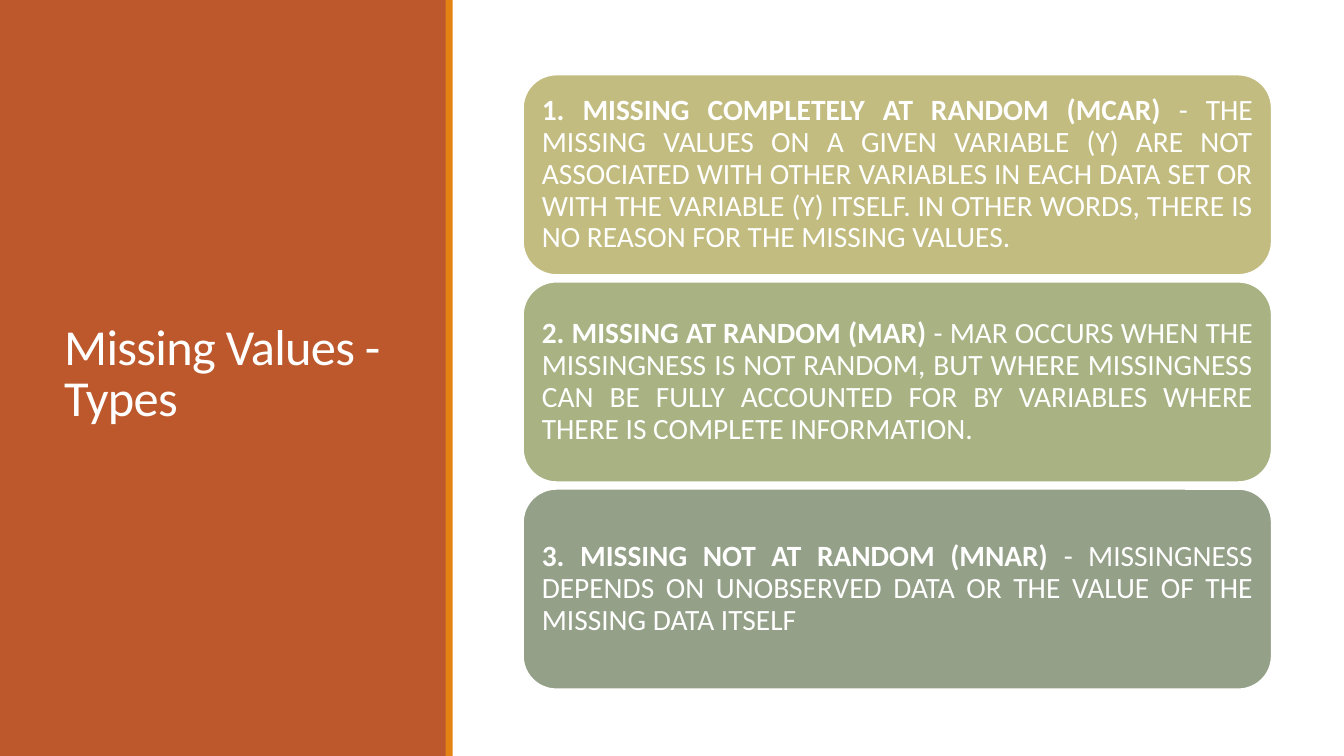
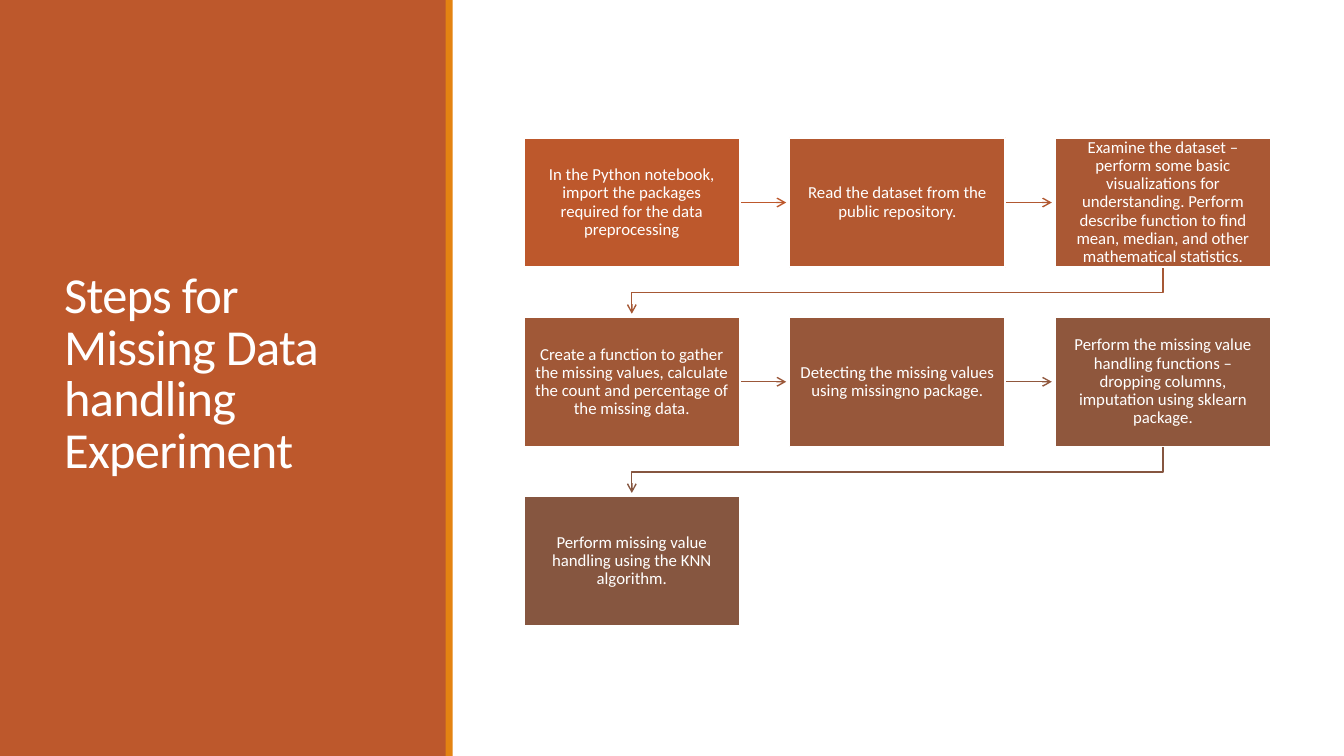
from lxml import etree
from pptx import Presentation
from pptx import util as u
from pptx.dml.color import RGBColor
from pptx.enum import shapes, text
from pptx.oxml.ns import qn

WHITE = RGBColor(0xFF, 0xFF, 0xFF)
RUST = RGBColor(0xBD, 0x58, 0x2C)
ORANGE = RGBColor(0xE4, 0x83, 0x12)
TYPE_COLOURS = [
    RGBColor(0xC2, 0xBC, 0x80),
    RGBColor(0xA8, 0xB2, 0x83),
    RGBColor(0x94, 0xA0, 0x88),
]
STEP_COLOURS = [RGBColor.from_string(c) for c in (
    "BD582C", "B35830", "AA5834", "A05837", "97573A", "8F573D", "865640")]
ARROW_COLOURS = [RGBColor.from_string(c) for c in (
    "BD582C", "B15831", "A65835", "9B5739", "90573D", "865640")]
FONT = "Calibri"
SLIDE_WIDTH, SLIDE_HEIGHT = u.Cm(33.87), u.Cm(19.05)

MISSING_TYPES = [
    ("1. MISSING COMPLETELY AT RANDOM (MCAR)",
     " - THE MISSING VALUES ON A GIVEN VARIABLE (Y) ARE NOT ASSOCIATED WITH "
     "OTHER VARIABLES IN EACH DATA SET OR WITH THE VARIABLE (Y) ITSELF. IN "
     "OTHER WORDS, THERE IS NO REASON FOR THE MISSING VALUES."),
    ("2. MISSING AT RANDOM (MAR) ",
     "- MAR OCCURS WHEN THE MISSINGNESS IS NOT RANDOM, BUT WHERE MISSINGNESS "
     "CAN BE FULLY ACCOUNTED FOR BY VARIABLES WHERE THERE IS COMPLETE "
     "INFORMATION."),
    ("3. MISSING NOT AT RANDOM (MNAR)",
     " - MISSINGNESS DEPENDS ON UNOBSERVED DATA OR THE VALUE OF THE MISSING "
     "DATA ITSELF"),
]
STEPS = [
    "In the Python notebook, import the packages required for the data "
    "preprocessing",
    "Read the dataset from the public repository.",
    "Examine the dataset – perform some basic visualizations for "
    "understanding. Perform describe function to find mean, median, and other "
    "mathematical statistics.",
    "Create a function to gather the missing values, calculate the count and "
    "percentage of the missing data.",
    "Detecting the missing values using missingno package.",
    "Perform the missing value handling functions – dropping columns, "
    "imputation using sklearn package.",
    "Perform missing value handling using the KNN algorithm.",
]


def add_block(slide, preset, box, fill, border=None):
    block = slide.shapes.add_shape(preset, *box)
    block.shadow.inherit = False
    block.fill.solid()
    block.fill.fore_color.rgb = fill
    if border is None:
        block.line.fill.background()
    else:
        block.line.color.rgb = border
        block.line.width = u.Pt(1.25)
    return block


def write(shape, parts, size, align, spacing, inset):
    frame = shape.text_frame
    frame.word_wrap = True
    frame.vertical_anchor = text.MSO_ANCHOR.MIDDLE
    frame.margin_left = frame.margin_right = inset
    frame.margin_top = frame.margin_bottom = inset
    paragraph = frame.paragraphs[0]
    paragraph.alignment = align
    paragraph.line_spacing = spacing
    for words, bold in parts:
        run = paragraph.add_run()
        run.text = words
        run.font.name = FONT
        run.font.size = u.Pt(size)
        run.font.bold = bold
        run.font.color.rgb = WHITE
    return paragraph


def add_title_panel(slide, title):
    rectangle = shapes.MSO_SHAPE.RECTANGLE
    add_block(slide, rectangle, (0, 0, u.Cm(11.25), SLIDE_HEIGHT), RUST)
    add_block(slide, rectangle,
              (u.Cm(11.23), 0, u.Cm(0.18), SLIDE_HEIGHT), ORANGE)
    heading = slide.shapes.add_textbox(
        u.Cm(1.37), u.Cm(1.45), u.Cm(8.56), u.Cm(16.03))
    paragraph = write(heading, [(title, False)], 36,
                      text.PP_ALIGN.LEFT, 0.85, u.Cm(0.25))
    for run in paragraph.runs:
        run.font._element.set("spc", "-50")


def add_type_cards(slide, left, top, width, height):
    gap = u.Cm(0.17)
    card_height = (height - gap * (len(MISSING_TYPES) - 1)) // len(MISSING_TYPES)
    for row, (name, meaning) in enumerate(MISSING_TYPES):
        card = add_block(
            slide, shapes.MSO_SHAPE.ROUNDED_RECTANGLE,
            (left, top + row * (card_height + gap), width, card_height),
            TYPE_COLOURS[row], WHITE)
        write(card, [(name, True), (meaning, False)], 21,
              text.PP_ALIGN.JUSTIFY, 0.9, u.Cm(0.23))


def style_arrow(arrow, colour):
    arrow.line.color.rgb = colour
    arrow.line.width = u.Pt(1)
    properties = arrow.element.spPr
    etree.SubElement(properties.find(qn("a:ln")), qn("a:tailEnd"), type="arrow")
    etree.SubElement(properties, qn("a:effectLst"))


def add_next_arrow(slide, x, y, length, colour):
    arrow = slide.shapes.add_connector(
        shapes.MSO_CONNECTOR.STRAIGHT, x, y, x + length, y)
    style_arrow(arrow, colour)


def add_return_arrow(slide, x, y, end_x, length, colour):
    bend_y = y + u.Cm(0.64)
    outline = slide.shapes.build_freeform(x, y)
    outline.add_line_segments(
        [(x, bend_y), (end_x, bend_y), (end_x, y + length)], close=False)
    arrow = outline.convert_to_shape()
    arrow.fill.background()
    style_arrow(arrow, colour)


def add_step_flow(slide, left, top, width, height):
    columns, rows = 3, 3
    gap, arrow_length = u.Cm(1.25), u.Cm(1.17)
    step_width = (width - gap * (columns - 1)) // columns
    step_height = (height - gap * (rows - 1)) // rows
    for index, step in enumerate(STEPS):
        row, column = divmod(index, columns)
        x = left + column * (step_width + gap)
        y = top + row * (step_height + gap)
        if index < len(ARROW_COLOURS):
            colour = ARROW_COLOURS[index]
            if column < columns - 1:
                add_next_arrow(slide, x + step_width, y + step_height // 2,
                               arrow_length, colour)
            else:
                add_return_arrow(slide, x + step_width // 2, y + step_height,
                                 left + step_width // 2, arrow_length, colour)
        box = add_block(slide, shapes.MSO_SHAPE.RECTANGLE,
                        (x, y, step_width, step_height),
                        STEP_COLOURS[index], WHITE)
        write(box, [(step, False)], 12, text.PP_ALIGN.CENTER, 0.9, u.Cm(0.27))


def main():
    deck = Presentation()
    deck.slide_width, deck.slide_height = SLIDE_WIDTH, SLIDE_HEIGHT
    blank = deck.slide_layouts[6]

    types_slide = deck.slides.add_slide(blank)
    add_title_panel(types_slide, "Missing Values - Types")
    add_type_cards(types_slide, u.Cm(13.18), u.Cm(1.88), u.Cm(18.87), u.Cm(15.49))

    steps_slide = deck.slides.add_slide(blank)
    add_title_panel(steps_slide, "Steps for Missing Data handling Experiment")
    add_step_flow(steps_slide, u.Cm(13.2), u.Cm(3.47), u.Cm(18.83), u.Cm(12.3))

    deck.save("out.pptx")


if __name__ == "__main__":
    main()
